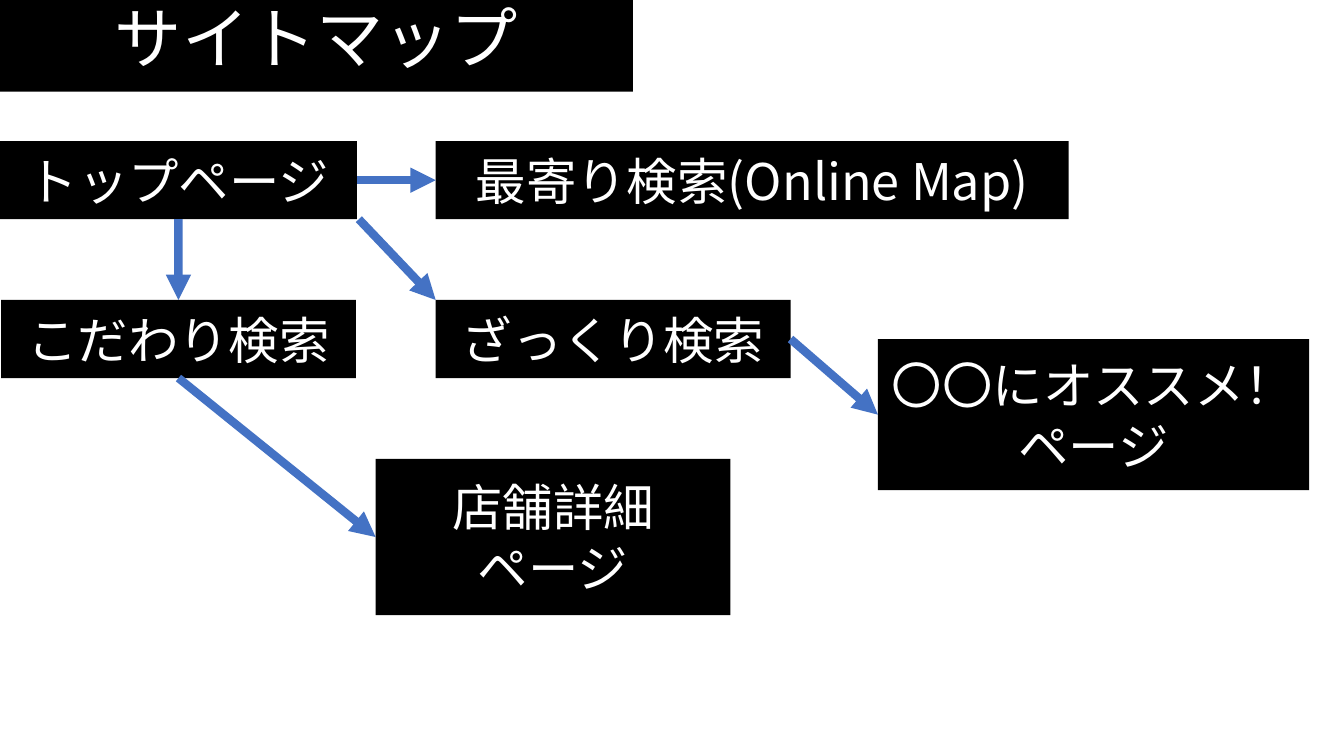
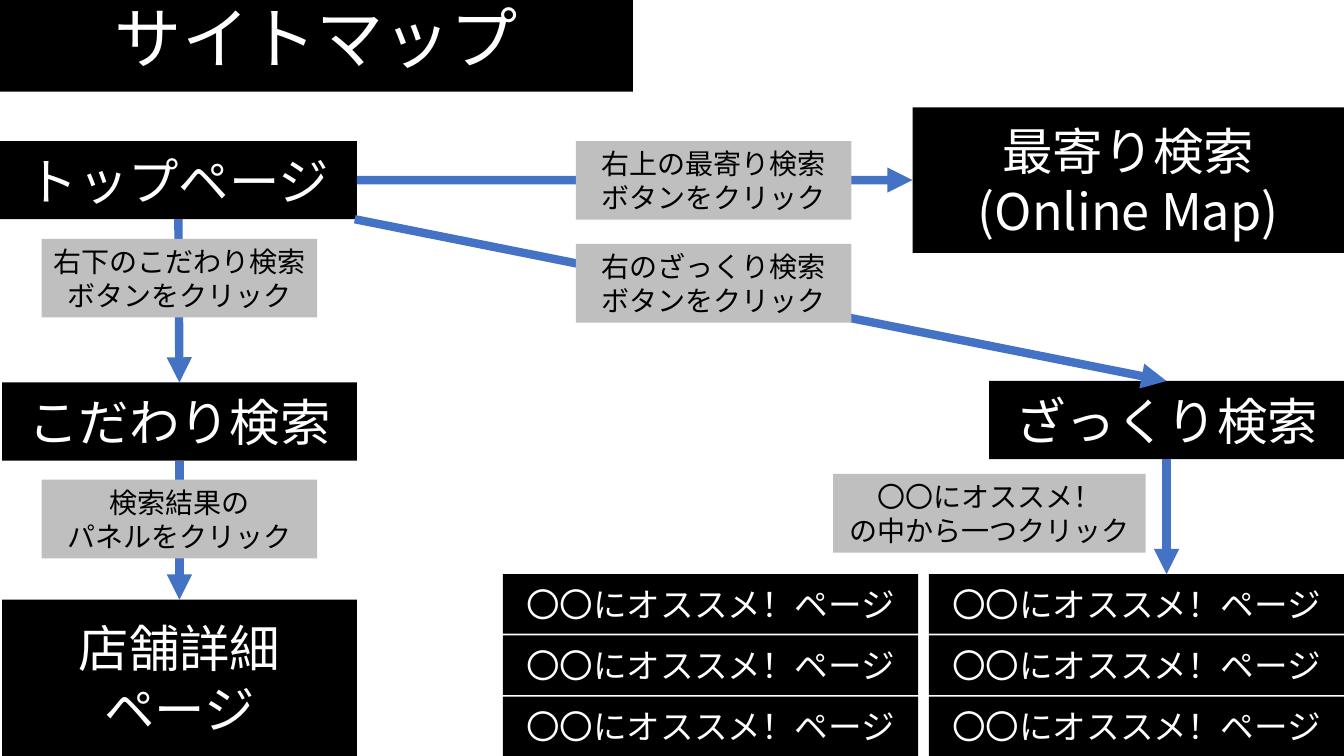
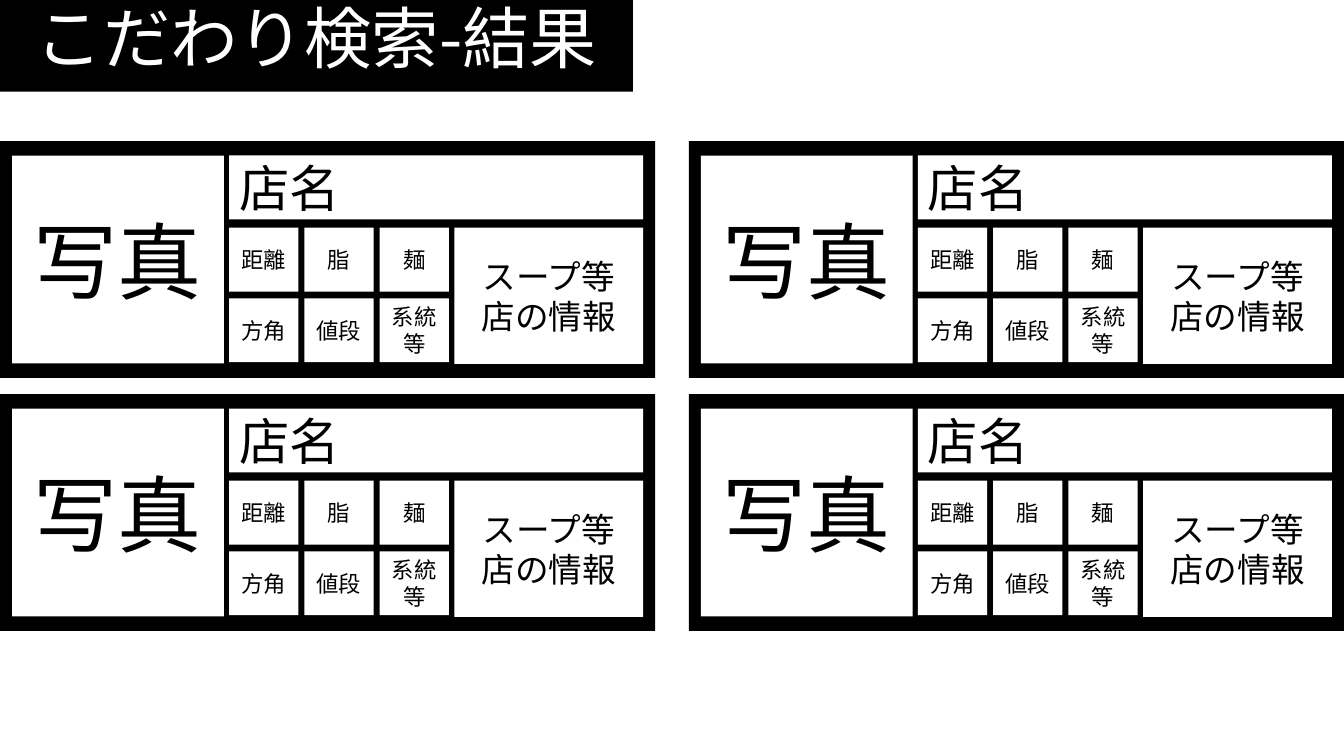
from itertools import product

from lxml import etree
from pptx import Presentation
from pptx import util as u
from pptx.dml import color
from pptx.enum import shapes, text
from pptx.oxml import ns

FONT = "Noto Sans CJK JP"
COLORS = {"black": "000000", "white": "FFFFFF", "label": "BFBFBF", "arrow": "4472C4"}
WIDTH, HEIGHT = u.Inches(13.33), u.Inches(7.5)
TITLE_ONLY = 5
TOP, LEFT, BOTTOM, RIGHT = range(4)

ROW_TOP = 18.67
BOX = (26.4, 10.33)
HOME = (0, ROW_TOP, 26.55, 10.33)
WIDE = 47.1
MEDIUM = 32.1
TALL = 20.67
LABEL = (20.5, 10.4)
RECOMMEND = "〇〇にオススメ！ページ"
DETAIL = "店舗詳細\nページ"
NEAREST = "最寄り検索(Online Map)"


def rgb(name):
    return color.RGBColor.from_string(COLORS[name])


def across(share):
    return round(WIDTH * share / 100)


def down(share):
    return round(HEIGHT * share / 100)


def place(left, top, width, height):
    return across(left), down(top), across(width), down(height)


def write(frame, words, size=36, ink="white", align=text.PP_ALIGN.CENTER,
          anchor=text.MSO_ANCHOR.MIDDLE, spacing=None):
    frame.word_wrap = True
    frame.auto_size = text.MSO_AUTO_SIZE.NONE
    frame.vertical_anchor = anchor
    for index, line in enumerate(words.split("\n")):
        para = frame.add_paragraph() if index else frame.paragraphs[0]
        para.alignment = align
        para.line_spacing = spacing
        span = para.add_run()
        span.text = line
        span.font.size = u.Pt(size)
        span.font.name = FONT
        span.font.color.rgb = rgb(ink)
        east = etree.SubElement(span.font._element, ns.qn("a:ea"))
        east.set("typeface", FONT)


def add_box(parent, area, words="", fill="black", **format):
    box = parent.shapes.add_shape(shapes.MSO_SHAPE.RECTANGLE, *place(*area))
    box.shadow.inherit = False
    box.fill.solid()
    box.fill.fore_color.rgb = rgb(fill)
    box.line.fill.background()
    if words:
        write(box.text_frame, words, **format)
    return box


def add_label(page, left, top, words, width=LABEL[0]):
    return add_box(page, (left, top, width, LABEL[1]), words,
                   fill="label", size=20, ink="black")


def add_arrow(page, start, end):
    arrow = page.shapes.add_connector(shapes.MSO_CONNECTOR.STRAIGHT, 0, 0, 0, 0)
    if isinstance(start[0], (int, float)):
        arrow.begin_x, arrow.begin_y = across(start[0]), down(start[1])
    else:
        arrow.begin_connect(*start)
    if isinstance(end[0], (int, float)):
        arrow.end_x, arrow.end_y = across(end[0]), down(end[1])
    else:
        arrow.end_connect(*end)
    arrow.line.color.rgb = rgb("arrow")
    arrow.line.width = u.Pt(6)
    head = etree.SubElement(arrow.line._get_or_add_ln(), ns.qn("a:tailEnd"))
    head.set("type", "triangle")
    etree.SubElement(arrow._element.spPr, ns.qn("a:effectLst"))


def add_page(deck, heading):
    page = deck.slides.add_slide(deck.slide_layouts[TITLE_ONLY])
    title = page.shapes.title
    title.left, title.top, title.width, title.height = place(0, 0, WIDE, 12.13)
    title.fill.solid()
    title.fill.fore_color.rgb = rgb("black")
    write(title.text_frame, heading, size=48, anchor=text.MSO_ANCHOR.TOP, spacing=0.9)
    return page


def add_card(page, left, top):
    card = page.shapes.add_group_shape()
    add_box(card, (left, top, 48.75, 31.33))

    def cell(x, y, width, height, words, size, **format):
        add_box(card, (left + x, top + y, width, height), words,
                fill="white", ink="black", size=size, **format)

    cell(0.9, 1.9, 15.75, 27.5, "写真", 60)
    cell(17.05, 1.9, 30.8, 8.45, "店名", 36, align=text.PP_ALIGN.LEFT)
    facts = ["距離", "脂", "麺", "方角", "値段", "系統\n等"]
    for (row, column), fact in zip(product(range(2), range(3)), facts):
        cell(17.05 + 5.6 * column, 11.45 + 9.35 * row, 5.15, 8.45, fact, 16)
    cell(33.8, 11.45, 14.05, 18, "スープ等\n店の情報", 24)


def build_site_map(deck):
    page = add_page(deck, "サイトマップ")
    home = add_box(page, HOME, "トップページ")
    nearest = add_box(page, (32.42, ROW_TOP, WIDE, BOX[1]), NEAREST)
    rough = add_box(page, (32.42, 39.68, *BOX), "ざっくり検索")
    recommend = add_box(page, (65.32, 44.85, MEDIUM, 20), RECOMMEND)
    picky = add_box(page, (0.08, 39.68, *BOX), "こだわり検索")
    detail = add_box(page, (27.95, 60.7, BOX[0], TALL), DETAIL)
    add_arrow(page, (picky, BOTTOM), (detail, LEFT))
    add_arrow(page, (rough, RIGHT), (recommend, LEFT))
    add_arrow(page, (26.7, 29), (32.42, 39.68))
    add_arrow(page, (home, RIGHT), (nearest, LEFT))
    add_arrow(page, (home, BOTTOM), (picky, TOP))


def build_click_map(deck):
    page = add_page(deck, "サイトマップ")
    home = add_box(page, HOME, "トップページ")
    nearest = add_box(page, (100 - MEDIUM, 14.2, MEDIUM, 19.25), NEAREST)
    rough = add_box(page, (100 - BOX[0], 50.4, *BOX), "ざっくり検索")
    picky = add_box(page, (0.15, 50.6, *BOX), "こだわり検索")
    detail = add_box(page, (0.15, 100 - TALL, BOX[0], TALL), DETAIL)
    for column, row in product(range(2), range(3)):
        add_box(page, (37.42 + 31.7 * column, 75.95 + 8.09 * row, 30.9, 7.87),
                RECOMMEND, size=24)
    add_arrow(page, (picky, BOTTOM), (detail, TOP))
    add_arrow(page, (rough, BOTTOM), (100 - BOX[0] / 2, 75.95))
    add_arrow(page, (26.4, 29), (rough, TOP))
    add_arrow(page, (home, RIGHT), (nearest, LEFT))
    add_arrow(page, (home, BOTTOM), (picky, TOP))
    add_label(page, 3.1, 31.6, "右下のこだわり検索ボタンをクリック")
    add_label(page, 42.85, ROW_TOP, "右上の最寄り検索\nボタンをクリック")
    add_label(page, 42.85, 32.27, "右のざっくり検索\nボタンをクリック")
    add_label(page, 62, 62.7, "〇〇にオススメ！\nの中から一つクリック", width=23.25)
    add_label(page, 3.1, 63.45, "検索結果の\nパネルをクリック")


def build_results(deck):
    page = add_page(deck, "こだわり検索-結果")
    for row, column in product(range(2), range(2)):
        add_card(page, 51.25 * column, ROW_TOP + 33.47 * row)


def main():
    deck = Presentation()
    deck.slide_width, deck.slide_height = WIDTH, HEIGHT
    build_site_map(deck)
    build_click_map(deck)
    build_results(deck)
    deck.save("out.pptx")


if __name__ == "__main__":
    main()
